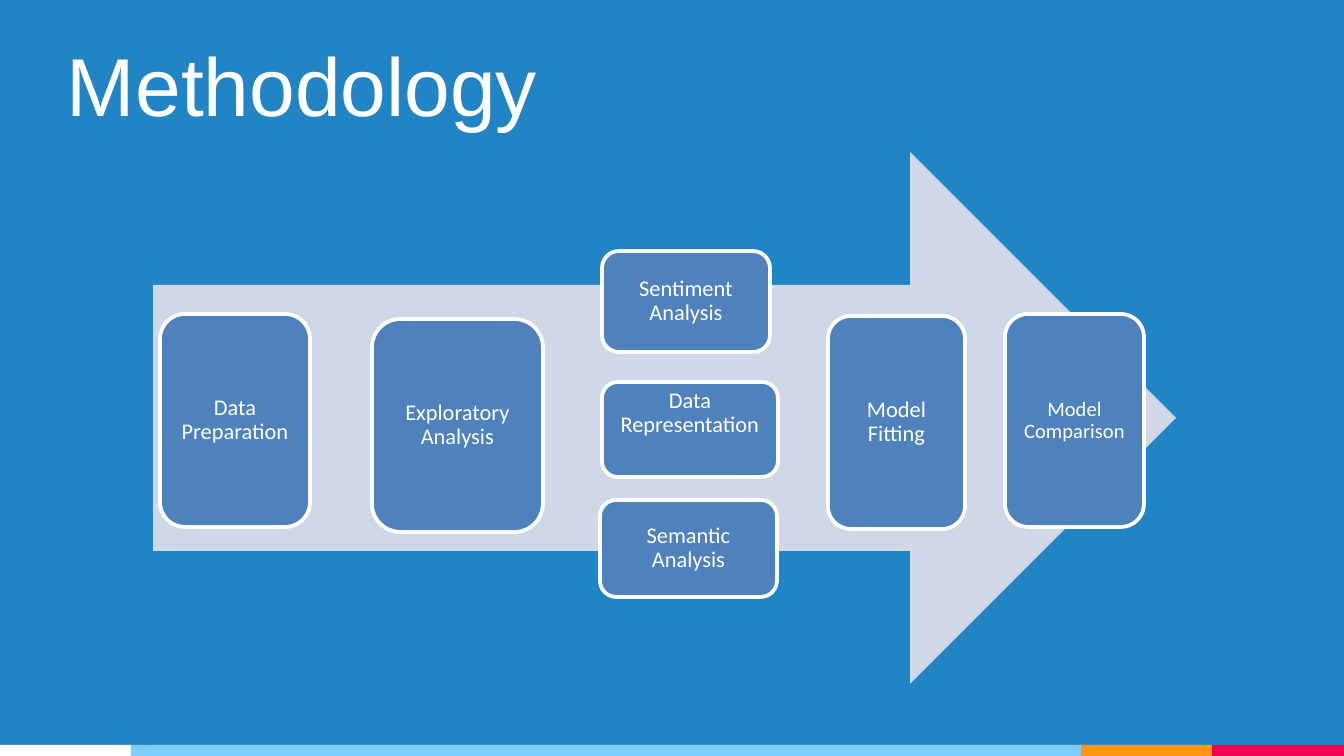
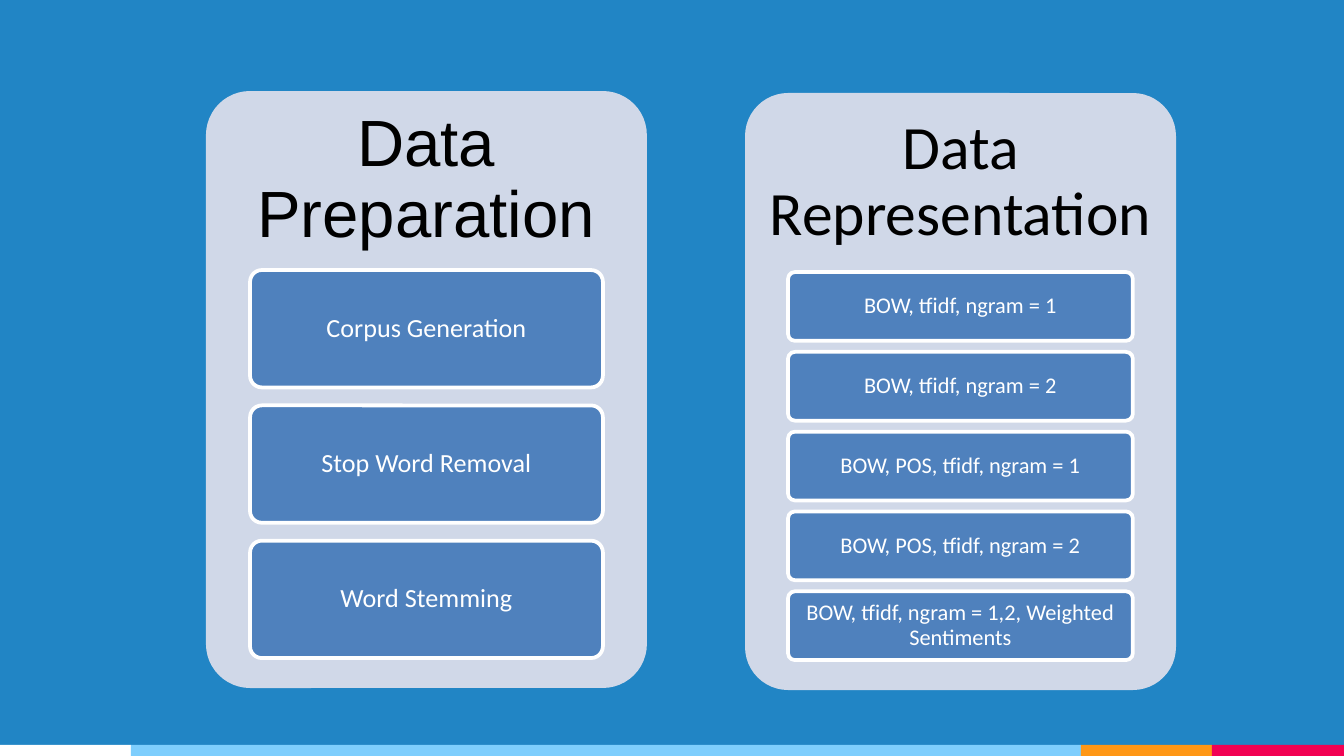
from pptx import Presentation
from pptx.dml.color import RGBColor
from pptx.enum import shapes, text
from pptx.util import Pt

SCALE = 914400 / 134.4  # EMU in one px
WIDTH, HEIGHT = 1344, 756
TITLE_ONLY, BLANK = 5, 6
COLORS = {
    "background": "2185C5",
    "pale": "D0D8E8",
    "box": "4F81BD",
    "white": "FFFFFF",
    "black": "000000",
    "sky": "7ECEFD",
    "orange": "FF9715",
    "red": "F20253",
}


def px(*lengths):
    return [round(length * SCALE) for length in lengths]


def color(name):
    return RGBColor.from_string(COLORS[name])


class Deck:
    def __init__(self):
        self.presentation = Presentation()
        self.presentation.slide_width, self.presentation.slide_height = px(WIDTH, HEIGHT)
        self.slide = None

    def add_slide(self, layout):
        layouts = self.presentation.slide_layouts
        self.slide = self.presentation.slides.add_slide(layouts[layout])

    def style_master(self):
        """Give the master its background and its row of colour bands."""
        master = self.presentation.slide_master
        master.background.fill.solid()
        master.background.fill.fore_color.rgb = color("background")
        edges = (0, 131, 1081, 1212, WIDTH)
        names = ("white", "sky", "orange", "red")
        first = master.shapes[0].element
        for number, (left, right, name) in enumerate(zip(edges, edges[1:], names)):
            band = self.shape("RECTANGLE", (left, 745, right - left, 11), name)
            band.element.nvSpPr.cNvPr.id = 20 + number
            first.addprevious(band.element)

    def set_text(self, shape, words, size, font="Calibri", ink="white",
                 align="CENTER", insets=(0, 0, 0, 0)):
        frame = shape.text_frame
        frame.word_wrap = True
        frame.auto_size = text.MSO_AUTO_SIZE.NONE
        frame.vertical_anchor = text.MSO_ANCHOR.MIDDLE
        (frame.margin_left, frame.margin_top,
         frame.margin_right, frame.margin_bottom) = px(*insets)
        paragraph = frame.paragraphs[0]
        paragraph.text = words
        paragraph.alignment = text.PP_ALIGN[align]
        paragraph.line_spacing = 0.9
        paragraph.font.size = Pt(size)
        paragraph.font.name = font
        paragraph.font.color.rgb = color(ink)

    def title(self, words):
        title = self.slide.shapes.title
        title.left, title.top, title.width, title.height = px(67, 28, 1253, 124)
        self.set_text(title, words, 44, "Arial", align="LEFT")

    def shape(self, kind, place, fill):
        shape = self.slide.shapes.add_shape(shapes.MSO_SHAPE[kind], *px(*place))
        shape.shadow.inherit = False
        shape.fill.solid()
        shape.fill.fore_color.rgb = color(fill)
        shape.line.fill.background()
        return shape

    def box(self, words, place, size=12, inset=7, bottom=None, corner=None):
        box = self.shape("ROUNDED_RECTANGLE", place, "box")
        box.line.color.rgb = color("white")
        box.line.width = Pt(2)
        if corner is not None:
            box.adjustments[0] = corner
        insets = (inset, inset, inset, inset if bottom is None else bottom)
        self.set_text(box, words, size, insets=insets)

    def panel(self, heading, place, size, font, items, item_size, gap):
        """Draw a panel with a heading over an evenly spaced stack of boxes."""
        left, top, width, height = place
        panel = self.shape("ROUNDED_RECTANGLE", place, "pale")
        panel.adjustments[0] = 0.1
        label = self.slide.shapes.add_textbox(*px(left, top, width, height * 0.3))
        self.set_text(label, heading, size, font, "black", insets=(19, 19, 19, 19))

        stack_top = top + height * 0.3
        pitch = (height * 0.65 + gap) / len(items)
        for row, words in enumerate(items):
            place = (left + width * 0.1, stack_top + row * pitch, width * 0.8, pitch - gap)
            self.box(words, place, item_size, inset=4, corner=0.1)


def main():
    deck = Deck()

    # Methodology: steps along an arrow
    deck.add_slide(TITLE_ONLY)
    deck.style_master()
    deck.title("Methodology")
    deck.shape("RIGHT_ARROW", (153, 152, 1023, 532), "pale")
    deck.box("Exploratory Analysis", (372, 319, 171, 213))
    deck.box("Data Preparation", (160, 314, 150, 213))
    deck.box("Model Comparison", (1005, 314, 139, 213), size=11)
    deck.box("Data Representation", (602, 382, 176, 95), bottom=40)
    deck.box("Model Fitting", (828, 316, 137, 213))
    deck.box("Semantic Analysis", (600, 500, 177, 97))
    deck.box("Sentiment Analysis", (602, 251, 168, 101))

    # Preparation and representation panels
    deck.add_slide(BLANK)
    deck.panel("Data Preparation", (206, 91, 441, 597), 35, "Arial",
               ("Corpus Generation", "Stop Word Removal", "Word Stemming"), 14, 18)
    deck.panel("Data Representation", (745, 93, 431, 597), 33, "Calibri",
               ("BOW, tfidf, ngram = 1",
                "BOW, tfidf, ngram = 2",
                "BOW, POS, tfidf, ngram = 1",
                "BOW, POS, tfidf, ngram = 2",
                "BOW, tfidf, ngram = 1,2, Weighted Sentiments"), 12, 11)

    deck.presentation.save("out.pptx")


if __name__ == "__main__":
    main()
